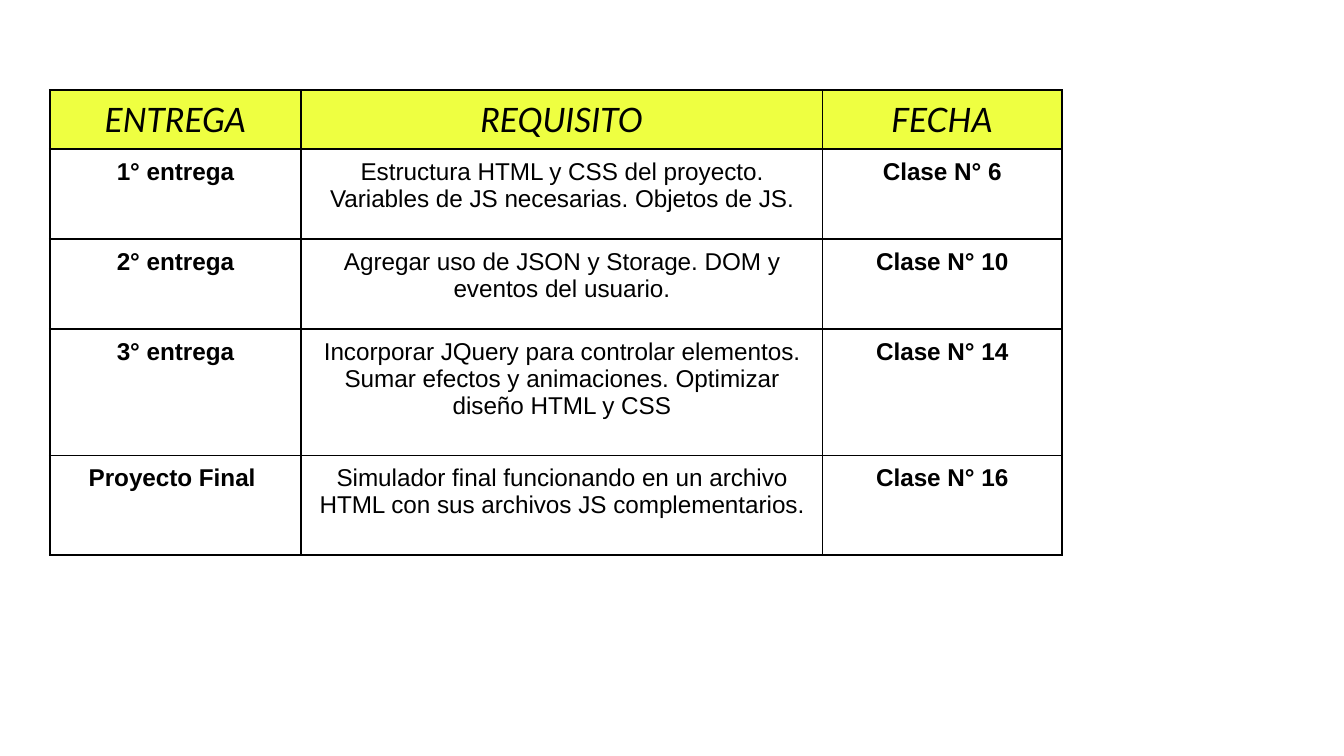
"""Build a slide with the timetable of project deliveries."""
from dataclasses import dataclass

from lxml.etree import SubElement
from pptx import Presentation
from pptx.dml.color import RGBColor
from pptx.enum.text import PP_ALIGN as Align
from pptx.oxml.ns import qn
from pptx.table import _Cell as Cell
from pptx.util import Inches, Pt

BLACK = RGBColor(0x00, 0x00, 0x00)
LIME = RGBColor(0xEE, 0xFF, 0x41)
SLIDE_WIDTH = Inches(10)
SLIDE_HEIGHT = SLIDE_WIDTH * 9 // 16
MARGIN = Inches(0.07)
COLUMN_WIDTHS = (1.87, 3.88, 1.78)
HEADINGS = ("ENTREGA", "REQUISITO", "FECHA")
HEADING_HEIGHT = 0.44


@dataclass(frozen=True)
class Delivery:
    name: str
    requirement: str
    date: str
    height: float


@dataclass(frozen=True)
class TextStyle:
    font: str
    size: float
    bold: bool = False
    italic: bool = False


HEADING = TextStyle("Lato", 18, italic=True)
LABEL = TextStyle("Arial", 13, bold=True)
BODY = TextStyle("Arial", 13)

DELIVERIES = (
    Delivery("1° entrega",
             "Estructura HTML y CSS del proyecto. Variables de JS necesarias. Objetos de JS.",
             "Clase N° 6", 0.67),
    Delivery("2° entrega",
             "Agregar uso de JSON y Storage. DOM y eventos del usuario.",
             "Clase N° 10", 0.67),
    Delivery("3° entrega",
             "Incorporar JQuery para controlar elementos. Sumar efectos y animaciones. "
             "Optimizar diseño HTML y CSS",
             "Clase N° 14", 0.94),
    Delivery("Proyecto Final ",
             "Simulador final funcionando en un archivo HTML con sus archivos JS complementarios.",
             "Clase N° 16", 0.74),
)


def add_borders(cell: Cell) -> None:
    properties = cell._tc.get_or_add_tcPr()
    for position, side in enumerate(("lnL", "lnR", "lnT", "lnB")):
        border = SubElement(properties, qn(f"a:{side}"), w=str(Pt(1)))
        fill = SubElement(border, qn("a:solidFill"))
        SubElement(fill, qn("a:srgbClr"), val=str(BLACK))
        properties.insert(position, border)


def write_cell(cell: Cell, text: str, style: TextStyle) -> None:
    cell.margin_left = cell.margin_right = MARGIN
    cell.margin_top = cell.margin_bottom = MARGIN
    if style is HEADING:
        cell.fill.solid()
        cell.fill.fore_color.rgb = LIME
    else:
        cell.fill.background()
    add_borders(cell)
    paragraph = cell.text_frame.paragraphs[0]
    paragraph.text = text
    paragraph.alignment = Align.CENTER
    font = paragraph.runs[0].font
    font.name = style.font
    font.size = Pt(style.size)
    font.bold = style.bold
    font.italic = style.italic
    font.color.rgb = BLACK


def main() -> None:
    presentation = Presentation()
    presentation.slide_width = SLIDE_WIDTH
    presentation.slide_height = SLIDE_HEIGHT
    slide = presentation.slides.add_slide(presentation.slide_layouts[6])

    heights = [HEADING_HEIGHT] + [delivery.height for delivery in DELIVERIES]
    timetable = slide.shapes.add_table(
        len(heights), len(COLUMN_WIDTHS), Inches(0.37), Inches(0.67),
        Inches(sum(COLUMN_WIDTHS)), Inches(sum(heights))).table
    timetable.horz_banding = False
    for column, width in zip(timetable.columns, COLUMN_WIDTHS):
        column.width = Inches(width)
    for row, height in zip(timetable.rows, heights):
        row.height = Inches(height)

    for column, heading in enumerate(HEADINGS):
        write_cell(timetable.cell(0, column), heading, HEADING)
    for row, delivery in enumerate(DELIVERIES, start=1):
        write_cell(timetable.cell(row, 0), delivery.name, LABEL)
        write_cell(timetable.cell(row, 1), delivery.requirement, BODY)
        write_cell(timetable.cell(row, 2), delivery.date, LABEL)

    presentation.save("out.pptx")


if __name__ == "__main__":
    main()
